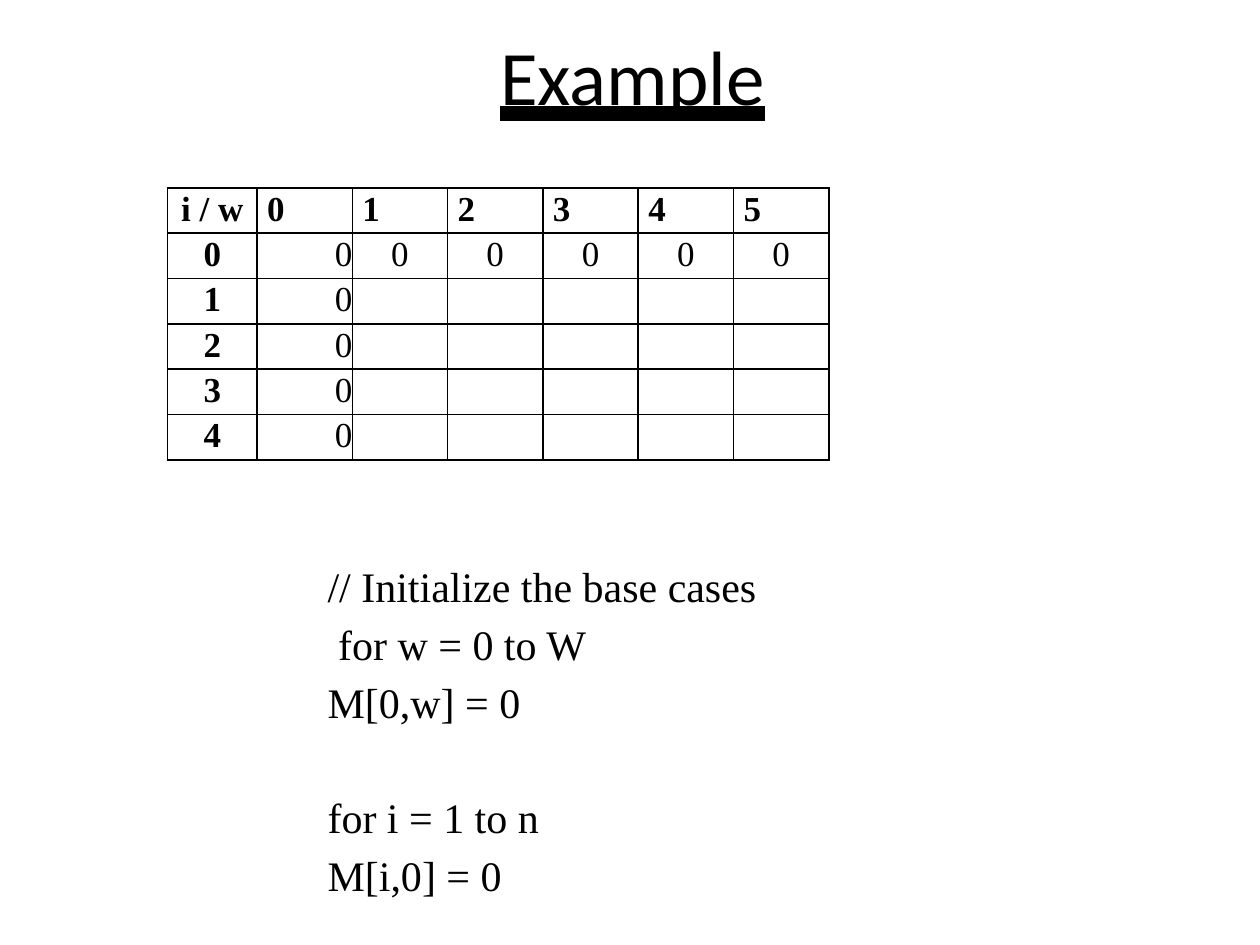
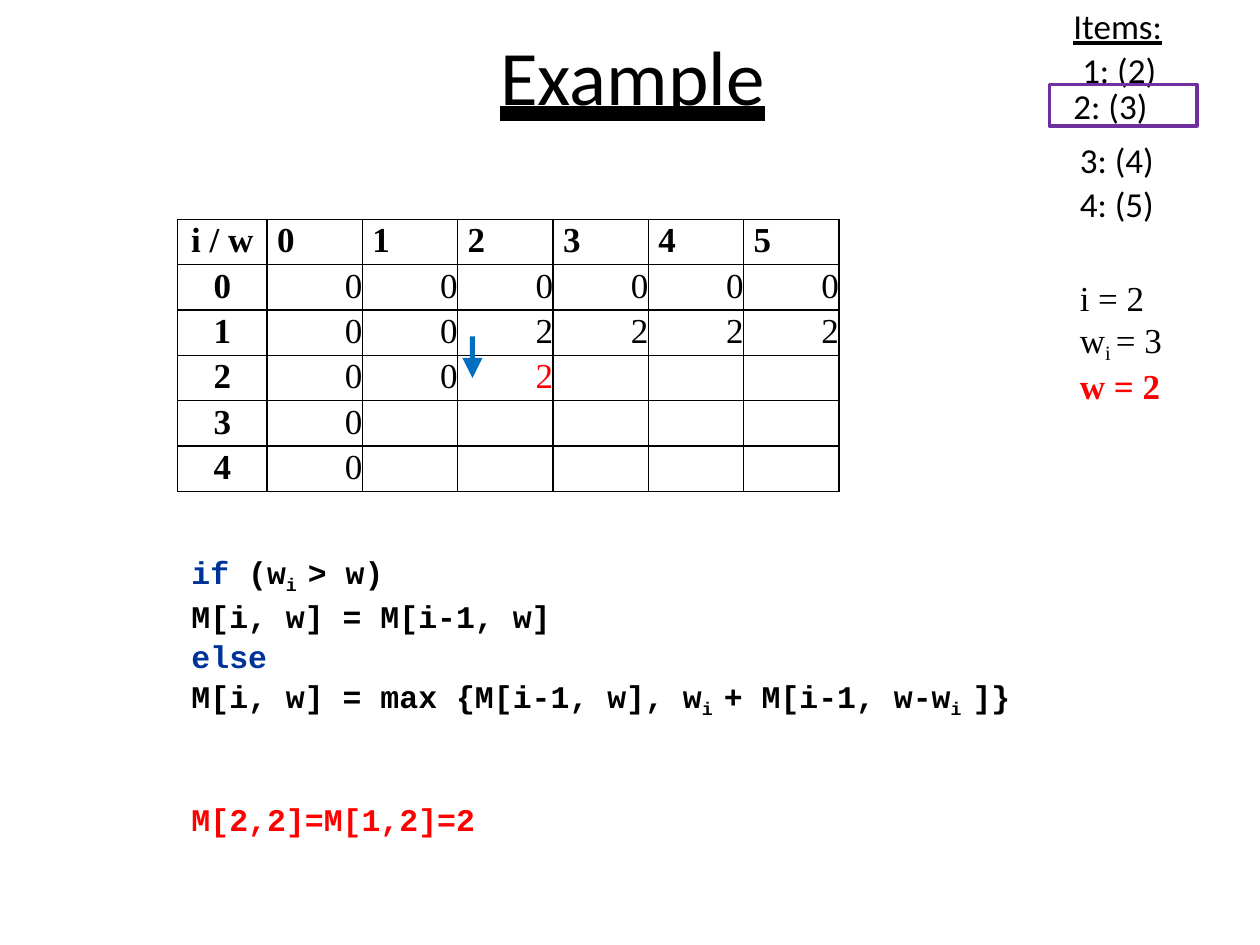
from lxml import etree
from pptx import Presentation
from pptx.dml.color import RGBColor
from pptx.enum.shapes import MSO_SHAPE
from pptx.enum.text import MSO_ANCHOR, MSO_UNDERLINE, PP_ALIGN
from pptx.oxml.ns import qn
from pptx.util import Inches, Pt

rgb = RGBColor.from_string
BLACK, RED, NAVY, BLUE, PURPLE = "000000", "FF0000", "003399", "006FC0", "6F2F9F"
SANS, SERIF, MONO = "Calibri", "Times New Roman", "Courier New"


def write(p, parts, size, font, color=BLACK, bold=False, indent=0, before=0,
          line=None, align=PP_ALIGN.LEFT):
    """Fill a paragraph; every second item of parts is a subscript."""
    p.alignment = align
    p._p.get_or_add_pPr().set("marL", str(Inches(indent)))
    p.space_before = Pt(before)
    if line:
        p.line_spacing = line
    p.font.size, p.font.name, p.font.bold = Pt(size), font, bold
    p.font.color.rgb = rgb(color)
    for i, part in enumerate(parts):
        if part:
            r = p.add_run()
            r.text = part
            if i % 2:
                r._r.get_or_add_rPr().set("baseline", "-21000")
    return p


def add_box(s, left, top, width, height):
    """Add a wrapping text box without margins and return its text frame."""
    tf = s.shapes.add_textbox(Inches(left), Inches(top), Inches(width), Inches(height)).text_frame
    tf.word_wrap = True
    tf.margin_left = tf.margin_right = tf.margin_bottom = 0
    tf.margin_top = Inches(0.01)
    return tf


prs = Presentation()
prs.slide_width, prs.slide_height = Inches(10), Inches(7.5)

# Each table: left, top, alignment of the top row of values, body rows
tables = [
    (1.33, 1.49, PP_ALIGN.CENTER, ["000000", "0", "0", "0", "0"]),
    (1.41, 1.74, PP_ALIGN.RIGHT, ["000000", "002222", "002", "0", "0"]),
]
LABEL_W, TABLE_W, ROW_H = 0.71, 5.25, 0.36
slides = []
for left, top, value_align, values in tables:
    s = prs.slides.add_slide(prs.slide_layouts[6])
    slides.append(s)
    p = write(add_box(s, 3.92, 0.22, 2.16, 0.76).paragraphs[0], ["Example"], 44, SANS, indent=0.05)
    p.runs[0].font.underline = MSO_UNDERLINE.HEAVY_LINE

    table = s.shapes.add_table(6, 7, Inches(left), Inches(top),
                               Inches(TABLE_W), Inches(6 * ROW_H)).table
    table.first_row = table.horz_banding = False
    for col, column in enumerate(table.columns):
        column.width = Inches((TABLE_W - LABEL_W) / 6 if col else LABEL_W)
    for row in range(6):
        table.rows[row].height = Inches(ROW_H)
        for col in range(7):
            cell = table.cell(row, col)
            cell.margin_left = cell.margin_right = cell.margin_top = cell.margin_bottom = 0
            align, indent = PP_ALIGN.CENTER, 0
            if row == 0:
                text = str(col - 1) if col else "i / w"
                if col:
                    align, indent = PP_ALIGN.LEFT, 0.08
            elif col == 0:
                text = str(row - 1)
            else:
                text = values[row - 1][col - 1:col]
                align = PP_ALIGN.RIGHT if col == 1 else value_align
            write(cell.text_frame.paragraphs[0], [text], 20, SERIF, bold=row == 0 or col == 0,
                  indent=indent, line=Pt(23.4), align=align)
            tc_pr = cell._tc.get_or_add_tcPr()
            for side in ("lnL", "lnR", "lnT", "lnB"):
                ln = etree.SubElement(tc_pr, qn("a:" + side), w=str(Pt(1)))
                fill = etree.SubElement(ln, qn("a:solidFill"))
                etree.SubElement(fill, qn("a:srgbClr"), val=BLACK)
            cell.fill.background()

base_slide, step_slide = slides

# Base cases
tf = add_box(base_slide, 2.59, 4.38, 3.43, 2.67)
base_code = [
    ("// Initialize the base cases", 0),
    (" for w = 0 to W", 4.2),
    ("M[0,w] = 0", 4.4),
    ("for i = 1 to n", 37),
    ("M[i,0] = 0", 4.4),
]
for i, (text, before) in enumerate(base_code):
    p = tf.add_paragraph() if i else tf.paragraphs[0]
    write(p, [text], 24, SERIF, indent=0.01, before=before, line=None if i else 1.15)

# Step i = 2, w = 2: new value and the cell it comes from
new_value = next(sh for sh in step_slide.shapes if sh.has_table).table.cell(3, 3)
new_value.text_frame.paragraphs[0].runs[0].font.color.rgb = rgb(RED)

tf = add_box(step_slide, 6.92, 1.09, 2.7, 2.13)
state = [
    (["3: (4)"], SANS, BLACK, 0),
    (["4: (5)"], SANS, BLACK, 1.2),
    (["i = 2"], SERIF, BLACK, 29.5),
    (["w", "i ", "= 3"], SERIF, BLACK, 0),
    (["w = 2"], SERIF, RED, 0),
]
for i, (parts, font, color, before) in enumerate(state):
    p = tf.add_paragraph() if i else tf.paragraphs[0]
    write(p, parts, 20, font, color, bold=color == RED, indent=1.65, before=before)

arrow = step_slide.shapes.add_shape(MSO_SHAPE.DOWN_ARROW, Inches(3.67), Inches(2.67),
                                    Inches(0.16), Inches(0.33))
arrow.adjustments[0], arrow.adjustments[1] = 0.25, 1
arrow.shadow.inherit = False
arrow.fill.solid()
arrow.fill.fore_color.rgb = rgb(BLUE)
arrow.line.fill.background()

# Items, with the current one framed
tf = add_box(step_slide, 8.51, 0.01, 0.73, 0.71)
p = write(tf.paragraphs[0], ["Items:"], 20, SANS, indent=0.01, line=Pt(25.2))
p.runs[0].font.underline = True
write(tf.add_paragraph(), ["1: (2)"], 20, SANS, indent=0.08, line=Pt(25.2))

current = step_slide.shapes.add_shape(MSO_SHAPE.RECTANGLE, Inches(8.33), Inches(0.67),
                                      Inches(1.17), Inches(0.33))
current.shadow.inherit = False
current.fill.background()
current.line.color.rgb, current.line.width = rgb(PURPLE), Pt(2)
tf = current.text_frame
tf.margin_left = tf.margin_right = tf.margin_bottom = 0
tf.margin_top = Inches(0.01)
tf.vertical_anchor = MSO_ANCHOR.TOP
write(tf.paragraphs[0], ["2: (3)"], 20, SANS, indent=0.19, line=Pt(23.6))

# Recurrence
tf = add_box(step_slide, 1.46, 4.36, 7.98, 2.13)
recurrence = [
    (["if ", "", "(w", "i ", "> w)"], BLACK, 0),
    (["M[i, w] = M[i-1, w]"], BLACK, 0),
    (["else"], NAVY, 0),
    (["M[i, w] = max {M[i-1, w], w", "i ", "+ M[i-1, w-w", "i ", "]}"], BLACK, 0),
    (["M[2,2]=M[1,2]=2"], RED, 45),
]
for i, (parts, color, before) in enumerate(recurrence):
    p = tf.add_paragraph() if i else tf.paragraphs[0]
    write(p, parts, 18, MONO, color, bold=True, indent=0.06, before=before, line=1.06)
tf.paragraphs[0].runs[0].font.color.rgb = rgb(NAVY)

prs.save("out.pptx")
